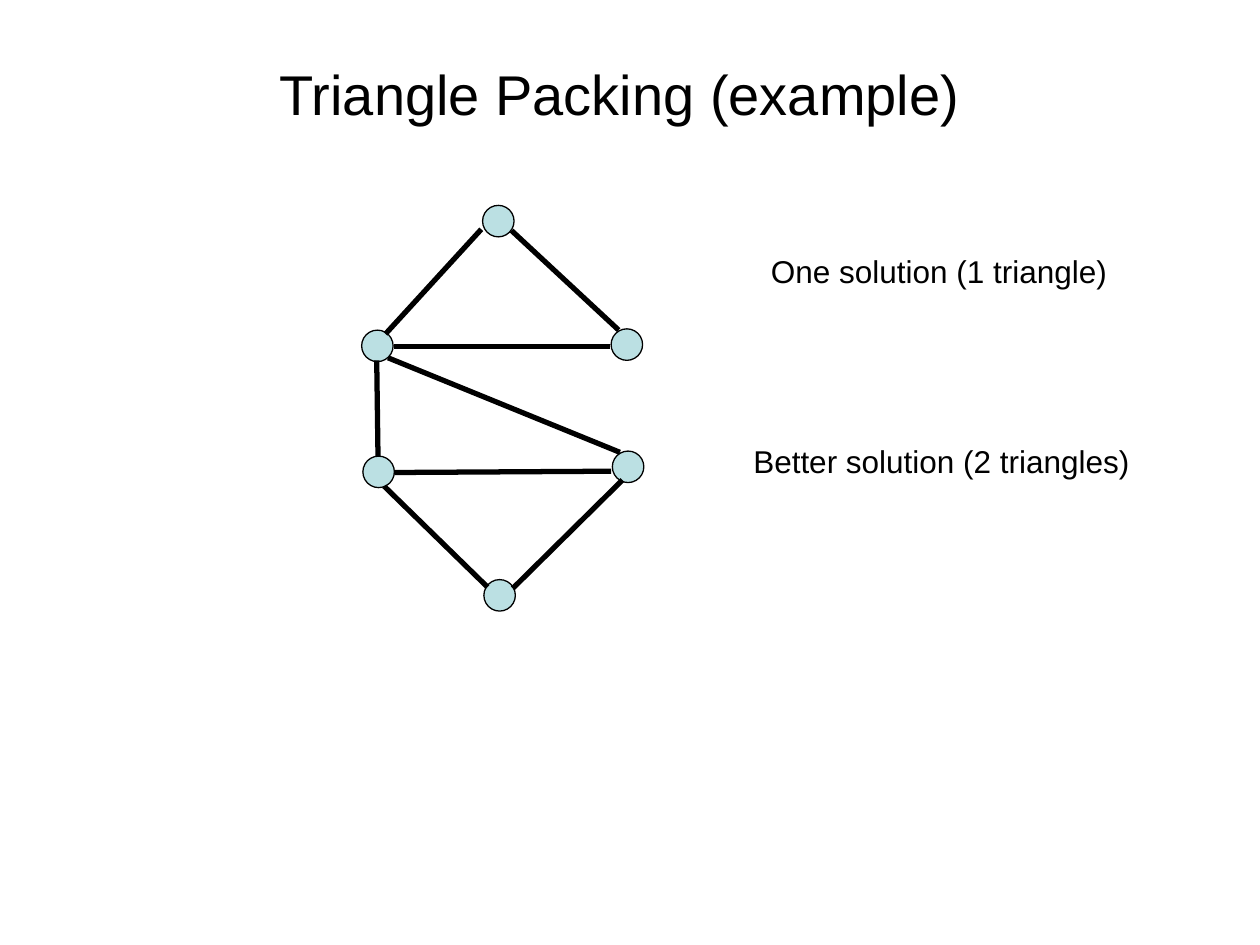
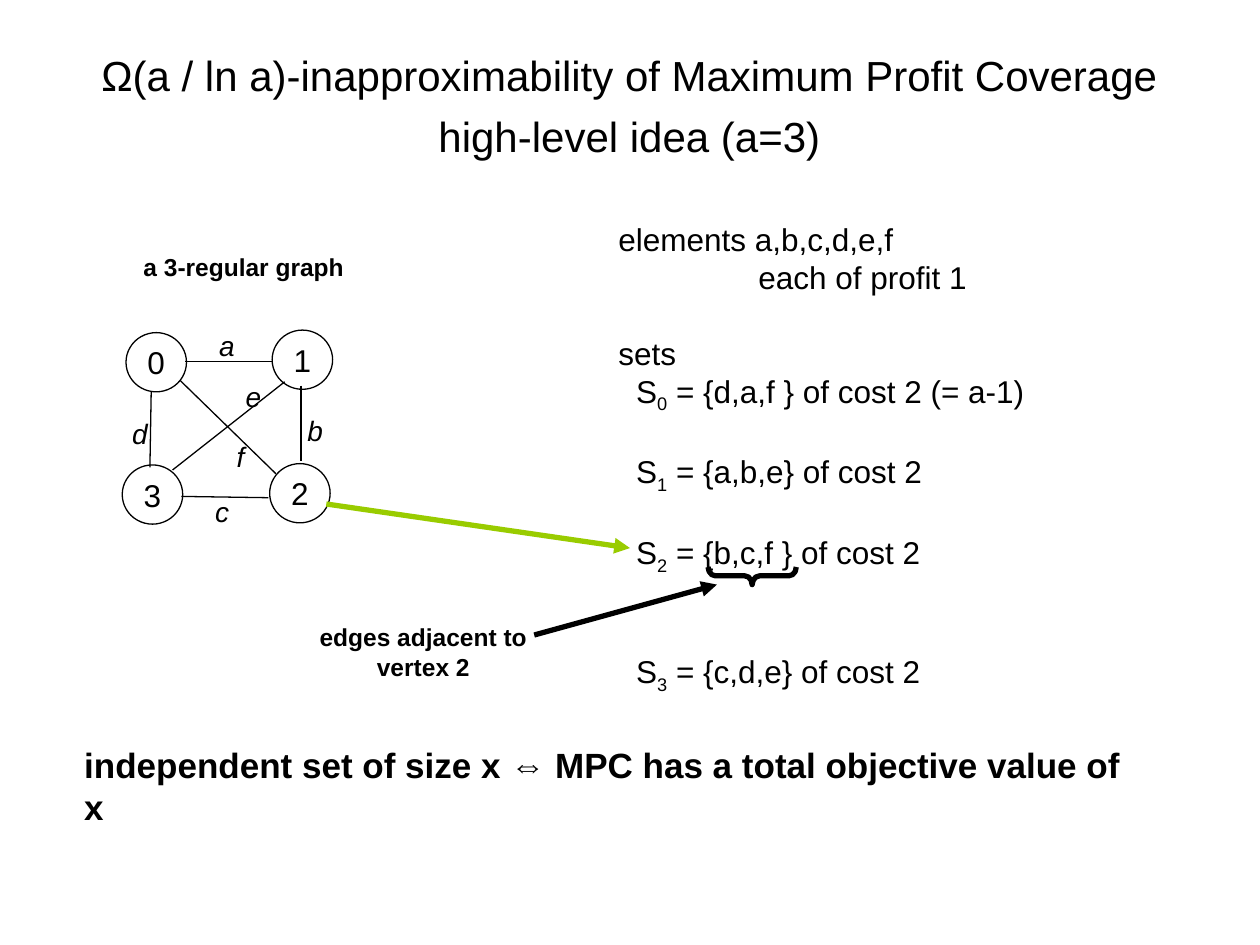
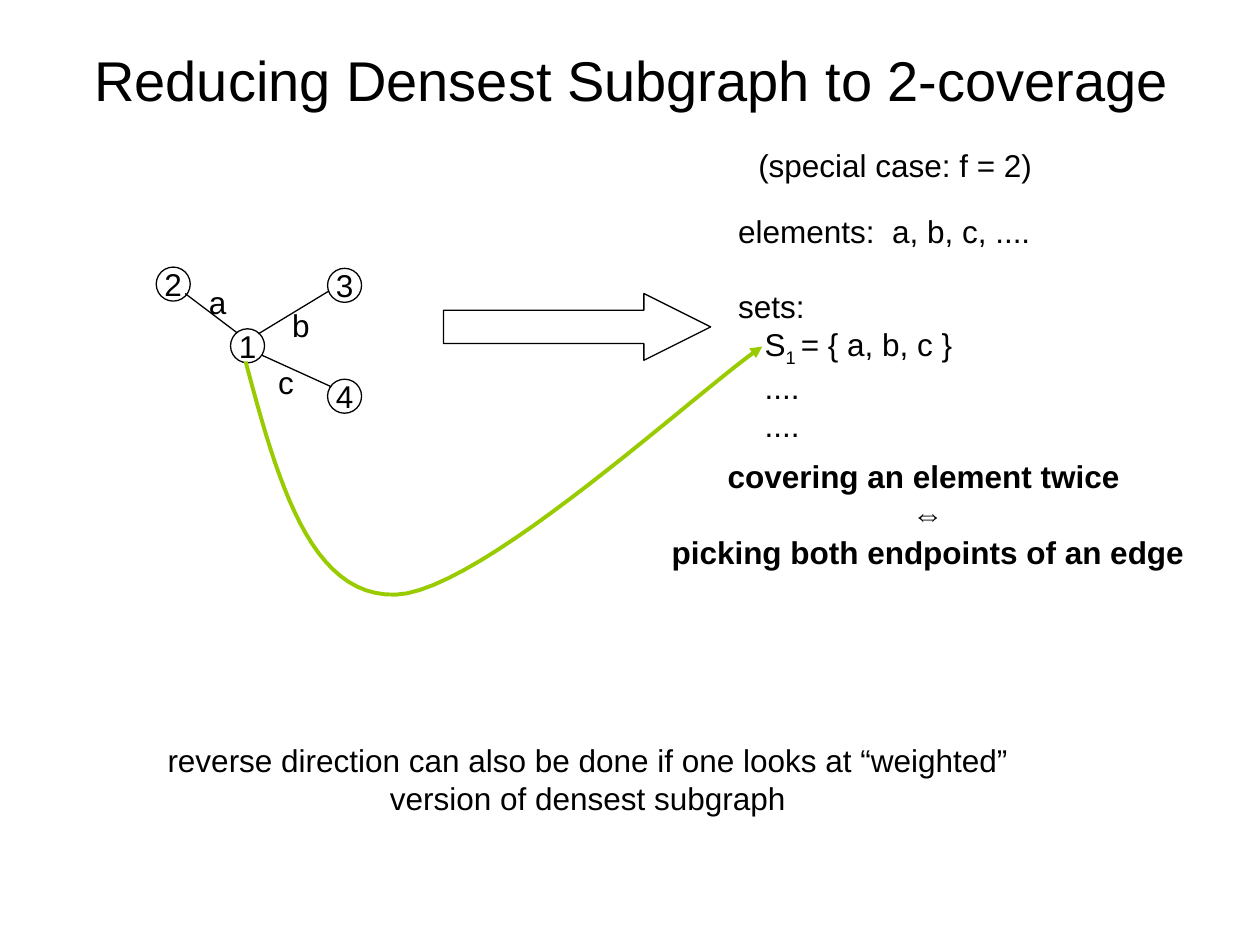
from lxml import etree
from pptx import Presentation
from pptx.dml.color import RGBColor
from pptx.enum.shapes import MSO_CONNECTOR, MSO_SHAPE
from pptx.enum.text import MSO_ANCHOR, MSO_AUTO_SIZE, PP_ALIGN
from pptx.oxml.ns import qn
from pptx.util import Inches, Pt

BLACK = RGBColor(0x00, 0x00, 0x00)
PALE_BLUE = RGBColor(0xBB, 0xE0, 0xE3)
GREEN = RGBColor(0x99, 0xCC, 0x00)
FONT = "Arial"
BLANK_LINE = 21.6  # points, one 18 pt line

STRAIGHT = MSO_CONNECTOR.STRAIGHT
OVAL, ARROW, BRACE = MSO_SHAPE.OVAL, MSO_SHAPE.RIGHT_ARROW, MSO_SHAPE.LEFT_BRACE
LEFT, CENTER = PP_ALIGN.LEFT, PP_ALIGN.CENTER
TOP, MIDDLE = MSO_ANCHOR.TOP, MSO_ANCHOR.MIDDLE
NO_FIT, GROW = MSO_AUTO_SIZE.NONE, MSO_AUTO_SIZE.SHAPE_TO_FIT_TEXT


def inches(values):
    return [Inches(v) for v in values]


def fill_text(tf, lines, size, align=LEFT, bold=False, italic=False):
    """Each line is a text or (text, indent in inches, space before in points).
    Text between underscores is set as a subscript."""
    for i, line in enumerate(lines):
        text, indent, before = (line, 0, 0) if isinstance(line, str) else line
        p = tf.paragraphs[0] if i == 0 else tf.add_paragraph()
        p.alignment = align
        p.space_before = Pt(before)
        if indent:
            p._p.get_or_add_pPr().set("marL", str(Inches(indent)))
        for j, part in enumerate(text.split("_")):
            r = p.add_run()
            r.text = part
            r.font.name = FONT
            r.font.size = Pt(size)
            r.font.bold = bold
            r.font.italic = italic
            r.font.color.rgb = BLACK
            if j % 2:
                r.font._element.set("baseline", "-25000")


def add_slide(prs, lines, box, size):
    s = prs.slides.add_slide(prs.slide_layouts[5])
    sp = s.shapes.title
    sp.left, sp.top, sp.width, sp.height = inches(box)
    tf = sp.text_frame
    tf.word_wrap = True
    tf.auto_size = NO_FIT
    tf.vertical_anchor = TOP
    fill_text(tf, lines, size, CENTER)
    return s


def add_text(s, box, lines, size=18, wrap=False, **style):
    tf = s.shapes.add_textbox(*inches(box)).text_frame
    tf.word_wrap = wrap
    tf.auto_size = GROW
    fill_text(tf, lines, size, **style)


def style_outline(sp, color=BLACK, width=0.75, fill=None):
    sp.shadow.inherit = False
    sp.line.color.rgb = color
    sp.line.width = Pt(width)
    if fill is None:
        sp.fill.background()
    else:
        sp.fill.solid()
        sp.fill.fore_color.rgb = fill


def add_shape(s, kind, box, adjustments=(), **style):
    sp = s.shapes.add_shape(kind, *inches(box))
    for i, value in enumerate(adjustments):
        sp.adjustments[i] = value
    style_outline(sp, **style)
    return sp


def add_vertex(s, x, y, w, h, label="", fill=None):
    sp = add_shape(s, OVAL, (x, y, w, h), fill=fill)
    if label:
        tf = sp.text_frame
        tf.word_wrap = False
        tf.vertical_anchor = MIDDLE
        fill_text(tf, [label], 18, CENTER)


def add_arrowhead(sp):
    etree.SubElement(sp.line._get_or_add_ln(), qn("a:tailEnd"), type="triangle")


def add_line(s, ends, width=0.75, color=BLACK, arrow=False):
    c = s.shapes.add_connector(STRAIGHT, *inches(ends))
    c.line.color.rgb = color
    c.line.width = Pt(width)
    etree.SubElement(c._element.spPr, qn("a:effectLst"))
    if arrow:
        add_arrowhead(c)


def bezier(points, t):
    weights = ((1 - t) ** 3, 3 * t * (1 - t) ** 2, 3 * t * t * (1 - t), t ** 3)
    return tuple(sum(w * pt[k] for w, pt in zip(weights, points)) for k in (0, 1))


def add_curved_arrow(s, curves, color, width, steps=24):
    points = [curves[0][0]]
    for curve in curves:
        points += [bezier(curve, i / steps) for i in range(1, steps + 1)]
    points = [tuple(inches(pt)) for pt in points]
    fb = s.shapes.build_freeform(*points[0])
    fb.add_line_segments(points[1:], close=False)
    sp = fb.convert_to_shape()
    style_outline(sp, color, width)
    add_arrowhead(sp)


def triangle_packing(prs):
    s = add_slide(prs, ["Triangle Packing (example)"], (0.42, 0.42, 9, 0.9), 32)

    # Graph
    for x, y in ((3.83, 1.63), (2.87, 2.62), (4.85, 2.61),
                 (4.86, 3.58), (2.88, 3.62), (3.84, 4.6)):
        add_vertex(s, x, y, 0.25, 0.25, fill=PALE_BLUE)
    for edge in ((3.06, 2.65, 3.82, 1.82), (4.06, 1.83, 4.91, 2.62),
                 (3.13, 2.75, 4.84, 2.75), (3.13, 3.75, 4.85, 3.74),
                 (3.05, 3.86, 3.87, 4.66), (4.07, 4.67, 4.94, 3.81),
                 (3.08, 2.84, 4.92, 3.59), (2.99, 2.86, 3, 3.62)):
        add_line(s, edge, 3)

    # Solutions
    add_text(s, (6.02, 1.95, 2.87, 0.4), ["One solution (1 triangle)"])
    add_text(s, (5.88, 3.46, 3.19, 0.4), ["Better solution (2 triangles)"])


def profit_coverage(prs):
    s = add_slide(prs, ["Ω(a / ln a)-inapproximability of Maximum Profit Coverage",
                        ("high-level idea (a=3)", 0, 6)], (0.31, 0.34, 9.37, 1.2), 24)

    # 3-regular graph
    for label, x, y in (("0", 1, 2.64), ("1", 2.16, 2.62),
                        ("3", 0.97, 3.69), ("2", 2.14, 3.68)):
        add_vertex(s, x, y, 0.48, 0.47, label)
    for edge in ((1.47, 2.87, 2.16, 2.87), (1.44, 3.94, 2.13, 3.95),
                 (1.2, 3.11, 1.19, 3.71), (2.39, 3.06, 2.39, 3.66),
                 (1.37, 3.73, 2.26, 3.03), (2.19, 3.76, 1.43, 3.02)):
        add_line(s, edge)
    add_text(s, (1.04, 1.95, 1.79, 0.34), ["a 3-regular graph"], 14, bold=True)
    for label, x, y, w in (("b", 2.34, 3.23, 0.32), ("a", 1.64, 2.56, 0.32),
                           ("c", 1.61, 3.88, 0.31), ("d", 0.95, 3.26, 0.32),
                           ("e", 1.85, 2.96, 0.32), ("f", 1.78, 3.44, 0.26)):
        add_text(s, (x, y, w, 0.37), [label], 16, italic=True)

    # Elements and sets
    add_text(s, (4.81, 1.7, 3.42, 3.87), [
        "elements a,b,c,d,e,f",
        ("each of profit 1", 1.11, 0),
        ("sets", 0, BLANK_LINE),
        ("S_0_ = {d,a,f } of cost 2 (= a-1)", 0.14, 0),
        ("S_1_ = {a,b,e} of cost 2", 0.14, BLANK_LINE),
        ("S_2_ = {b,c,f } of cost 2", 0.14, BLANK_LINE),
        ("S_3_ = {c,d,e} of cost 2", 0.14, 2 * BLANK_LINE),
    ])

    # Vertex 2 and its set
    add_line(s, (2.59, 4, 5, 4.35), 3, GREEN, arrow=True)
    brace = add_shape(s, BRACE, (5.9, 4.22, 0.14, 0.7), (0.42, 0.5), width=3)
    brace.rotation = 270
    add_text(s, (2.41, 4.89, 1.9, 0.57), ["edges adjacent to", "vertex 2"],
             14, wrap=True, align=CENTER, bold=True)
    add_line(s, (4.24, 5.04, 5.69, 4.64), 3, arrow=True)

    # Conclusion
    add_text(s, (0.57, 5.85, 8.64, 0.77),
             ["independent set of size x ⇔ MPC has a total objective value of x"],
             20, wrap=True, bold=True)


def densest_subgraph(prs):
    s = add_slide(prs, ["Reducing Densest Subgraph to 2-coverage"],
                  (0.28, 0.31, 9.47, 0.8), 32)

    # Graph
    for label, x, y in (("1", 1.83, 2.61), ("2", 1.24, 2.12),
                        ("3", 2.6, 2.13), ("4", 2.6, 3.01)):
        add_vertex(s, x, y, 0.27, 0.27, label)
    for edge in ((1.47, 2.33, 1.88, 2.64), (2.61, 2.31, 2.05, 2.65),
                 (2.63, 3.07, 2.08, 2.82)):
        add_line(s, edge)
    for label, x, y in (("a", 1.56, 2.2), ("b", 2.22, 2.38), ("c", 2.11, 2.83)):
        add_text(s, (x, y, 0.33, 0.4), [label])

    # Reduction
    add_shape(s, ARROW, (3.52, 2.33, 2.12, 0.53), (0.5, 1))
    add_text(s, (5.76, 1.63, 2.52, 1.94), [
        "elements:  a, b, c, ....",
        ("sets:", 0, BLANK_LINE),
        ("S_1 _= { a, b, c }", 0.21, 0),
        ("....", 0.21, 0),
        ("....", 0.21, 0),
    ])
    add_curved_arrow(s, [
        ((1.95, 2.87), (2.2, 3.81), (2.46, 4.74), (3.14, 4.72)),
        ((3.14, 4.72), (3.82, 4.7), (5.56, 3.08), (6.05, 2.75)),
    ], GREEN, 2.25)

    # Remarks
    add_text(s, (5.92, 1.11, 2.5, 0.4), ["(special case: f = 2)"], wrap=True)
    add_text(s, (5.23, 3.58, 4.27, 1),
             ["covering an element twice ", "⇔", "picking both endpoints of an edge"],
             align=CENTER, bold=True)
    add_text(s, (1.23, 5.83, 6.87, 0.7),
             ["reverse direction can also be done if one looks at “weighted”",
              "version of densest subgraph"], align=CENTER)


def main():
    prs = Presentation()
    prs.slide_width, prs.slide_height = Inches(10), Inches(7.5)
    triangle_packing(prs)
    profit_coverage(prs)
    densest_subgraph(prs)
    prs.save("out.pptx")


if __name__ == "__main__":
    main()
